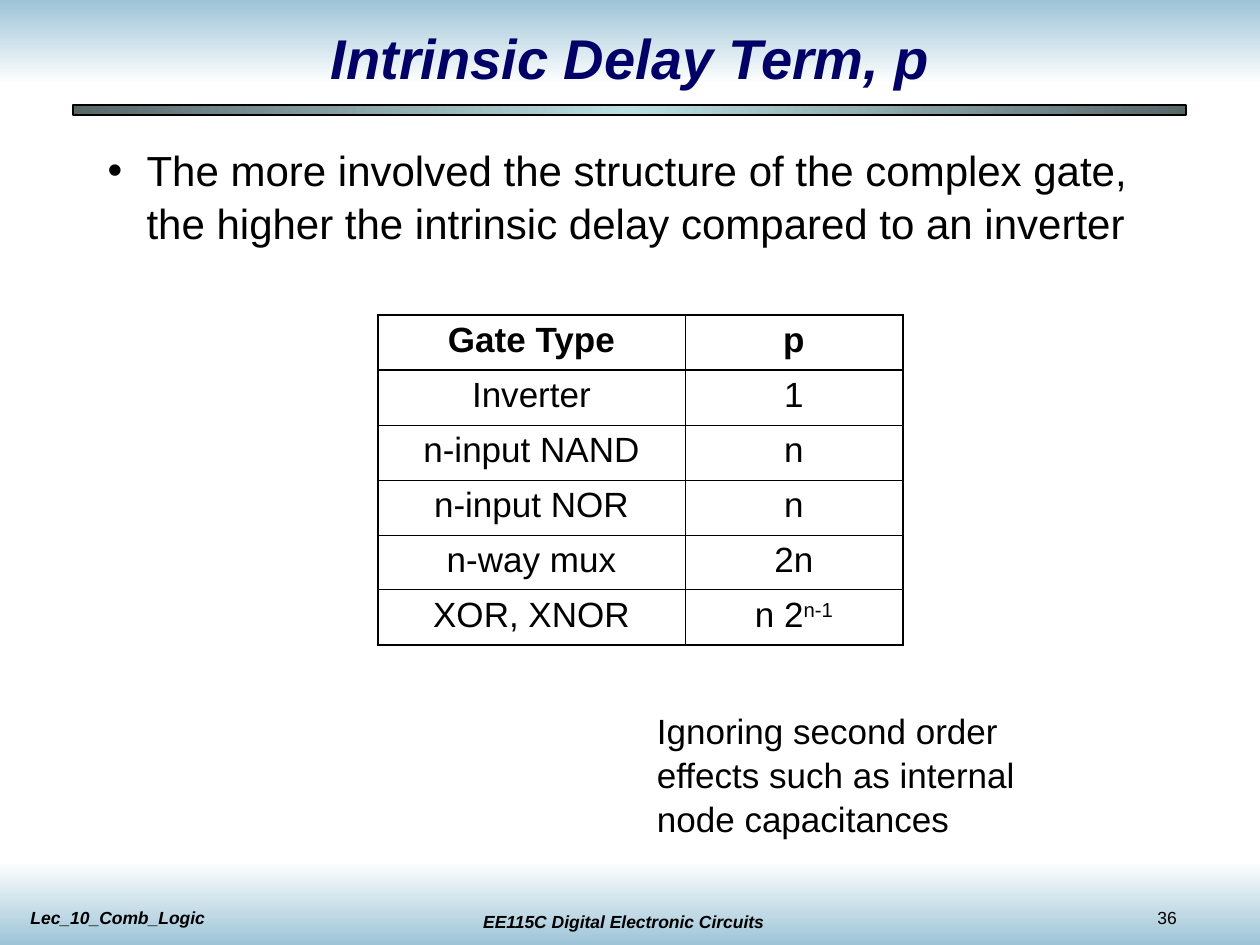
from dataclasses import dataclass

from lxml import etree
from pptx import Presentation
from pptx.dml.color import RGBColor
from pptx.enum.shapes import MSO_SHAPE
from pptx.enum.text import MSO_ANCHOR, MSO_AUTO_SIZE, PP_ALIGN
from pptx.oxml.ns import qn
from pptx.util import Emu, Pt

RECTANGLE = MSO_SHAPE.RECTANGLE
TOP, MIDDLE = MSO_ANCHOR.TOP, MSO_ANCHOR.MIDDLE
LEFT, CENTER = PP_ALIGN.LEFT, PP_ALIGN.CENTER
NO_AUTOFIT = MSO_AUTO_SIZE.NONE
PX = 914400 // 126


@dataclass(frozen=True)
class Theme:
    font: str = "Arial"
    ink: str = "000000"
    title_ink: str = "000066"
    sky: str = "9DC4D7"
    paper: str = "FFFFFF"
    rule_edge: str = "566768"
    rule_middle: str = "BBE0E3"
    title_size: int = 32
    body_size: int = 24
    table_size: int = 20
    footer_size: int = 10
    thick: float = 1.08
    thin: float = 0.45


THEME = Theme()

TITLE = "Intrinsic Delay Term, p"
BULLET = ("The more involved the structure of the complex gate, "
          "the higher the intrinsic delay compared to an inverter")
NOTE = "Ignoring second order effects such as internal node capacitances"
# Each cell is its text, followed by a superscript where there is one.
GATES = [
    [("Gate Type",), ("p",)],
    [("Inverter",), ("1",)],
    [("n-input NAND",), ("n",)],
    [("n-input NOR",), ("n",)],
    [("n-way mux",), ("2n",)],
    [("XOR, XNOR",), ("n 2", "n-1")],
]
COLUMN_WIDTHS = [307, 218]
ROW_HEIGHT = 55
INDENT = 39

# Place, gradient colours, gradient angle, outlined
BANDS = [
    ((0, 0, 1260, 84), [THEME.sky, THEME.paper], 90, False),
    ((0, 861, 1260, 84), [THEME.paper, THEME.sky], 90, False),
    ((73, 105, 1113, 10),
     [THEME.rule_edge, THEME.rule_middle, THEME.rule_edge], 180, True),
]
# Text, place, alignment, emphasised
FOOTERS = [
    ("EE115C Digital Electronic Circuits", (445, 905, 357, 34), CENTER, True),
    ("36", (1145, 901, 105, 34), LEFT, False),
    ("Lec_10_Comb_Logic", (18, 901, 357, 34), LEFT, True),
]


def px(*lengths):
    return [Emu(length * PX) for length in lengths]


def style(span, size, color=THEME.ink, bold=False, italic=False):
    font = span.font
    font.name, font.size = THEME.font, Pt(size)
    font.bold, font.italic = bold, italic
    font.color.rgb = RGBColor.from_string(color)


def add_color(parent, color):
    etree.SubElement(parent, qn("a:srgbClr"), val=color)


def add_band(page, place, colors, angle, outlined):
    band = page.shapes.add_shape(RECTANGLE, *px(*place))
    band.shadow.inherit = False
    band.fill.gradient()
    band.fill.gradient_angle = 360 - angle
    stops = band.element.spPr.find(".//" + qn("a:gsLst"))
    stops.clear()
    for index, color in enumerate(colors):
        position = 100000 * index // (len(colors) - 1)
        add_color(etree.SubElement(stops, qn("a:gs"), pos=str(position)), color)
    if outlined:
        band.line.color.rgb = RGBColor.from_string(THEME.ink)
        band.line.width = Pt(0.75)
    else:
        band.line.fill.background()


def add_text(page, text, place, size, align=LEFT, emphasised=False):
    box = page.shapes.add_textbox(*px(*place))
    box.text_frame.word_wrap = True
    box.text_frame.text = text
    para = box.text_frame.paragraphs[0]
    para.alignment = align
    style(para.runs[0], size, bold=emphasised, italic=emphasised)
    return box


def fill_placeholder(holder, text, place, anchor):
    """Place the placeholder in front of everything drawn so far."""
    holder.element.getparent().append(holder.element)
    holder.left, holder.top, holder.width, holder.height = px(*place)
    frame = holder.text_frame
    frame.text = text
    frame.auto_size = NO_AUTOFIT
    frame.vertical_anchor = anchor
    return frame.paragraphs[0]


def indent(para, first_line):
    properties = para._p.get_or_add_pPr()
    properties.set("marL", str(INDENT * PX))
    properties.set("indent", str(first_line * PX))
    return properties


def add_bullet(para):
    properties = indent(para, -INDENT)
    add_color(etree.SubElement(properties, qn("a:buClr")), THEME.ink)
    etree.SubElement(properties, qn("a:buFont"), typeface=THEME.font)
    etree.SubElement(properties, qn("a:buChar"), char="•")


def set_borders(cell, thick_sides):
    properties = cell._tc.get_or_add_tcPr()
    for side in "LRTB":
        width = THEME.thick if side in thick_sides else THEME.thin
        line = etree.SubElement(properties, qn("a:ln" + side), w=str(Pt(width)))
        add_color(etree.SubElement(line, qn("a:solidFill")), THEME.ink)


def add_gate_table(page):
    rows, columns = len(GATES), len(COLUMN_WIDTHS)
    place = (378, 315, sum(COLUMN_WIDTHS), rows * ROW_HEIGHT)
    table = page.shapes.add_table(rows, columns, *px(*place)).table
    table.first_row = table.horz_banding = False
    for column, width in zip(table.columns, px(*COLUMN_WIDTHS)):
        column.width = width
    for r, gate in enumerate(GATES):
        for c, parts in enumerate(gate):
            cell = table.cell(r, c)
            thick = {"L": c == 0, "R": c == columns - 1,
                     "T": r in (0, 1), "B": r in (0, rows - 1)}
            set_borders(cell, [side for side in thick if thick[side]])
            cell.fill.background()
            para = cell.text_frame.paragraphs[0]
            para.alignment = CENTER
            for index, part in enumerate(parts):
                span = para.add_run()
                span.text = part
                style(span, THEME.table_size, bold=r == 0)
                if index == 1:
                    span.font._element.set("baseline", "30000")


def main():
    deck = Presentation()
    deck.slide_width, deck.slide_height = px(1260, 945)
    page = deck.slides.add_slide(deck.slide_layouts[1])
    title, body = page.placeholders

    for band in BANDS:
        add_band(page, *band)
    for text, place, align, emphasised in FOOTERS:
        add_text(page, text, place, THEME.footer_size, align, emphasised)

    para = fill_placeholder(title, TITLE, (95, 21, 1071, 73), MIDDLE)
    para.alignment = CENTER
    style(para.runs[0], THEME.title_size, THEME.title_ink, True, True)

    para = fill_placeholder(body, BULLET, (95, 136, 1061, 218), TOP)
    add_bullet(para)
    para.space_before = Pt(0)
    para.line_spacing = 1.05
    style(para.runs[0], THEME.body_size)

    add_gate_table(page)

    frame = add_text(page, NOTE, (609, 703, 494, 134), THEME.table_size).text_frame
    frame.margin_left, frame.margin_right = px(9, 9)
    frame.margin_top, frame.margin_bottom = px(4, 4)
    indent(frame.paragraphs[0], 0)
    frame.paragraphs[0].line_spacing = 1.05

    deck.save("out.pptx")


if __name__ == "__main__":
    main()
